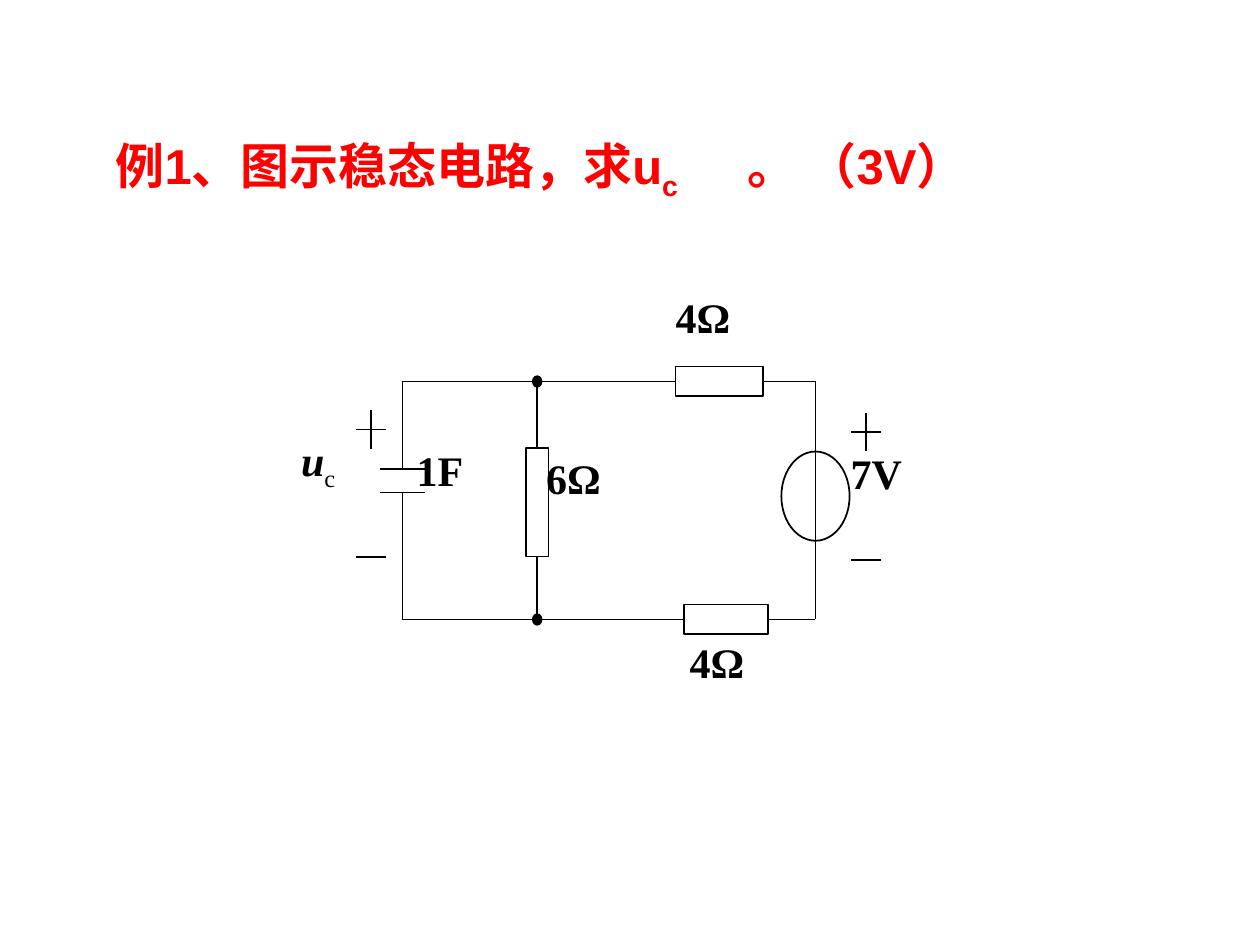
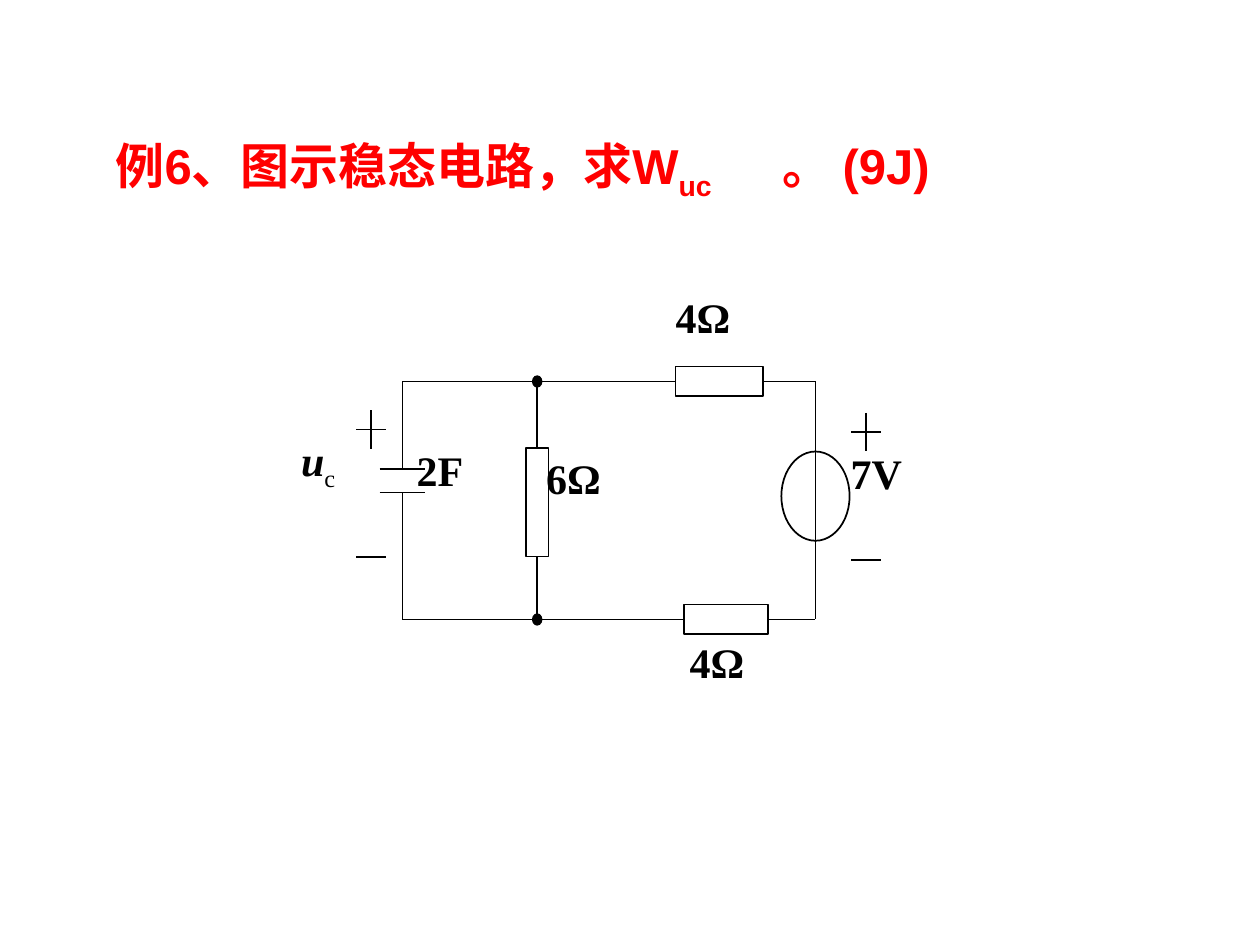
import pptx
import pptx.util
import pptx.dml.color
import pptx.enum.shapes
import pptx.enum.text
import lxml.etree
from pptx.oxml.ns import qn

Pt = pptx.util.Pt
SHAPE = pptx.enum.shapes.MSO_SHAPE
STRAIGHT = pptx.enum.shapes.MSO_CONNECTOR.STRAIGHT
ALIGN = pptx.enum.text.PP_ALIGN

RED = pptx.dml.color.RGBColor(0xFF, 0x00, 0x00)
BLACK = pptx.dml.color.RGBColor(0x00, 0x00, 0x00)
HEAD_BOX = (59, 58.3, 643.7, 61.2)
PLAN_BOX = (165, 163)


def set_frame(frame):
    frame.word_wrap = True
    frame.auto_size = pptx.enum.text.MSO_AUTO_SIZE.NONE
    frame.vertical_anchor = pptx.enum.text.MSO_ANCHOR.TOP
    frame.margin_left = frame.margin_right = Pt(7.2)
    frame.margin_top = frame.margin_bottom = Pt(3.6)


def add_run(para, text, size, face, color, low=False):
    """Add a bold run; low makes it a subscript."""
    run = para.add_run()
    run.text = text
    font = run.font
    font.size, font.name, font.bold = Pt(size), face, True
    font.color.rgb = color
    if low:
        font._element.set("baseline", "-25000")
    return run


def add_head(slide, box, parts, stop):
    """Fill the title; the answer starts at the tab stop."""
    title = slide.shapes.title
    title.left, title.top, title.width, title.height = map(Pt, box)
    set_frame(title.text_frame)
    para = title.text_frame.paragraphs[0]
    para.alignment = ALIGN.LEFT
    para.line_spacing = 1.4
    para.space_before = Pt(0)
    tabs = lxml.etree.SubElement(para._p.get_or_add_pPr(), qn("a:tabLst"))
    lxml.etree.SubElement(tabs, qn("a:tab"), pos=str(Pt(stop)), algn="l")
    ask, sub, answer = parts
    add_run(para, ask, 28, "Arial", RED)
    add_run(para, sub, 28, "Arial", RED, low=True)
    add_run(para, "\t" + answer, 28, "Arial", RED)


def add_part(group, box, kind, x, y, wide, high, solid=False):
    """Add an outlined shape centred on x, y."""
    part = group.shapes.add_shape(
        kind, Pt(box[0] + x - wide / 2), Pt(box[1] + y - high / 2), Pt(wide), Pt(high))
    part.shadow.inherit = False
    if solid:
        part.fill.solid()
        part.fill.fore_color.rgb = BLACK
    else:
        part.fill.background()
    part.line.color.rgb = BLACK
    part.line.width = Pt(1)
    return part


def add_wire(group, box, start, end):
    """Join two ends, each a point or a (shape, side) pair."""
    joins = [isinstance(tip[0], (int, float)) for tip in (start, end)]
    points = [tip if plain else (0, 0) for tip, plain in zip((start, end), joins)]
    spots = [Pt(box[i] + point[i]) for point in points for i in (0, 1)]
    wire = group.shapes.add_connector(STRAIGHT, *spots)
    if not joins[0]:
        wire.begin_connect(*start)
    if not joins[1]:
        wire.end_connect(*end)
    wire.line.color.rgb = BLACK
    wire.line.width = Pt(1)
    lxml.etree.SubElement(wire._element.spPr, qn("a:effectLst"))


def add_label(group, box, x, y, text, sub=""):
    """Add a value, or a slanted symbol with a subscript."""
    label = group.shapes.add_textbox(Pt(box[0] + x), Pt(box[1] + y), Pt(78), Pt(55))
    set_frame(label.text_frame)
    para = label.text_frame.paragraphs[0]
    run = add_run(para, text, 24, "Times New Roman", BLACK)
    if sub:
        run.font.italic = True
        add_run(para, sub, 24, "Times New Roman", BLACK, low=True).font.bold = False


def add_signs(group, box, x, y):
    """Draw a plus centred on x, y and a minus below it."""
    for level in (y, y + 73):
        add_wire(group, box, (x - 8.5, level), (x + 8.5, level))
    add_wire(group, box, (x, y - 11), (x, y + 11))


def add_plan(slide, box, farad):
    """Draw the circuit with its corner at the box's left and top."""
    group = slide.shapes.add_group_shape()
    left, mid, right = 65, 142, 301
    top, base = 55, 191
    plates = (105, 118.5)

    shunt = add_part(group, box, SHAPE.RECTANGLE, mid, 124, 13, 62)
    add_part(group, box, SHAPE.OVAL, right, 120.5, 39, 51)
    for level, x, wide, plate, side in ((top, 246, 50, plates[0], 0),
                                        (base, 250, 48, plates[1], 2)):
        ohm = add_part(group, box, SHAPE.RECTANGLE, x, level, wide, 17)
        add_wire(group, box, (left, level), (ohm, 1))
        add_wire(group, box, (ohm, 3), (right, level))
        add_wire(group, box, (left, level), (left, plate))
        add_wire(group, box, (left - 13, plate), (left + 13, plate))
        add_wire(group, box, (mid, level), (shunt, side))
        add_part(group, box, SHAPE.FLOWCHART_CONNECTOR, mid, level, 5, 6, solid=True)
    add_wire(group, box, (right, top), (right, base))

    add_signs(group, box, 47, 82.5)
    add_signs(group, box, 330, 84)
    add_label(group, box, 0, 82, "u", "c")
    for x, y, text in ((66, 87.5, farad), (140, 92, "6Ω"), (314, 89, "7V"),
                       (214, 0, "4Ω"), (222, 197, "4Ω")):
        add_label(group, box, x, y, text)


def main():
    deck = pptx.Presentation()
    deck.slide_width, deck.slide_height = Pt(720), Pt(540)
    for parts, stop, farad in (
            (("例1、图示稳态电路，求u", "c", "。 （3V）"), 361, "1F"),
            (("例6、图示稳态电路，求W", "uc", "。 (9J)"), 381, "2F")):
        slide = deck.slides.add_slide(deck.slide_layouts[5])
        add_head(slide, HEAD_BOX, parts, stop)
        add_plan(slide, PLAN_BOX, farad)
    deck.save("out.pptx")


if __name__ == "__main__":
    main()
